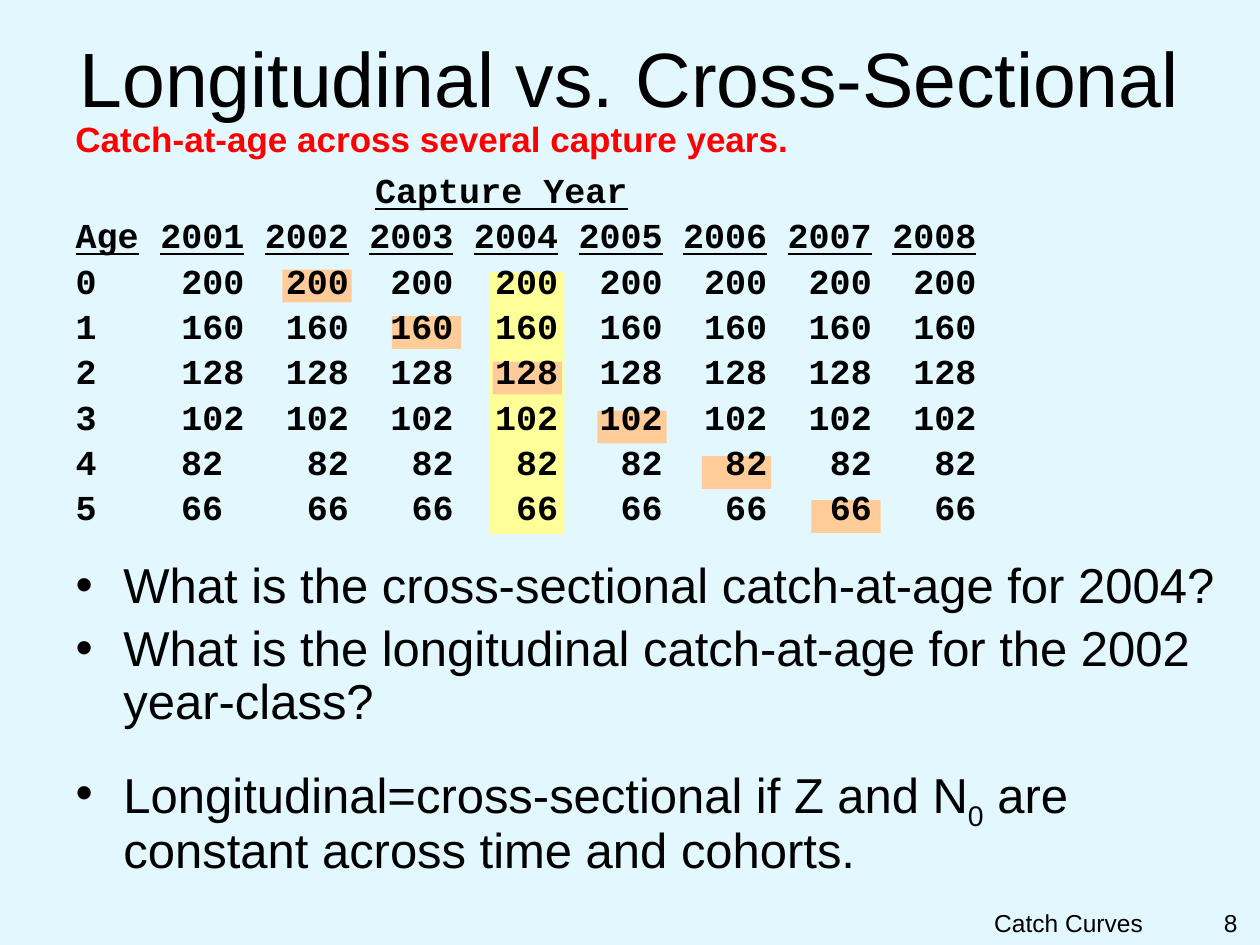
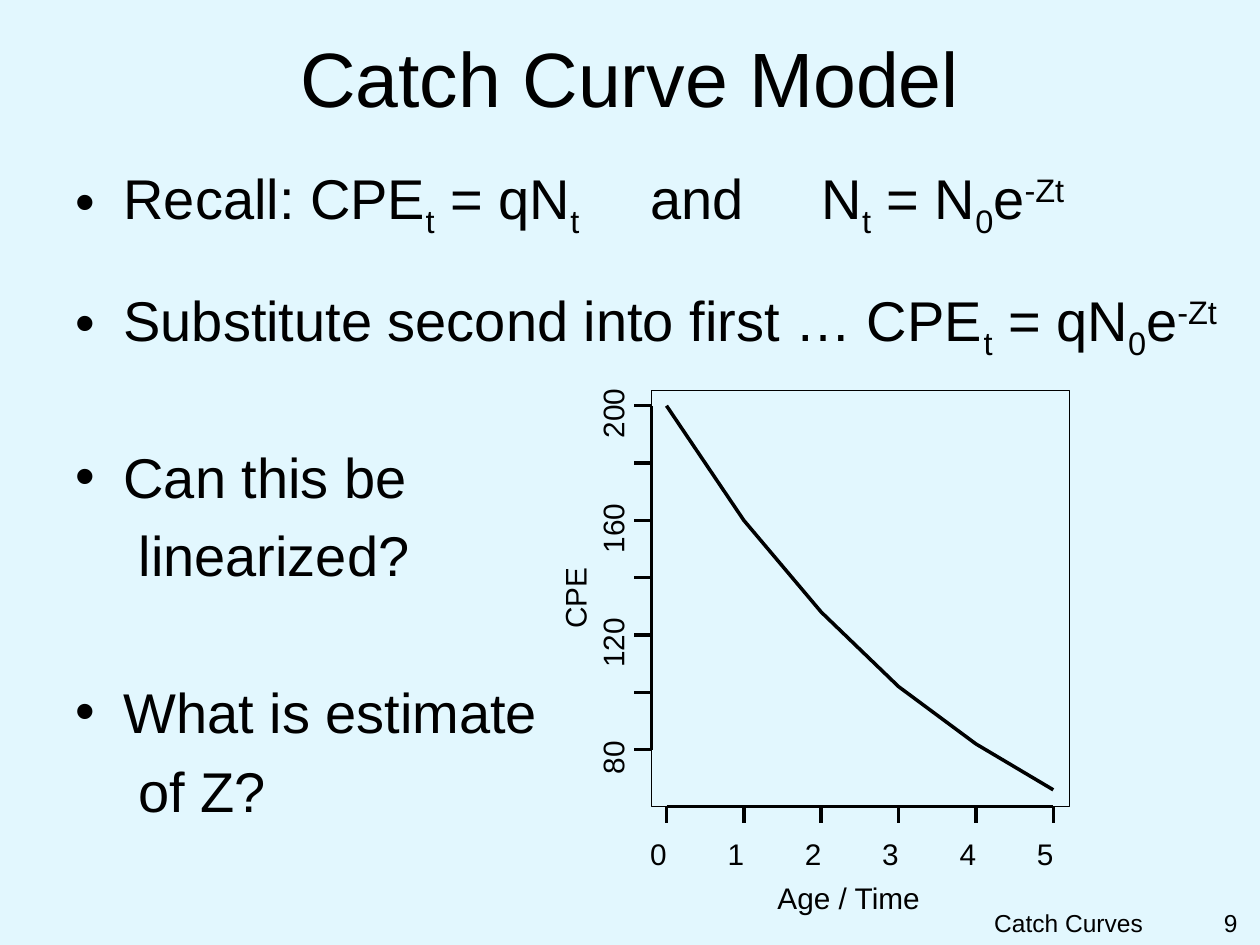
from lxml import etree
from pptx import Presentation
from pptx.dml.color import RGBColor
from pptx.enum.shapes import MSO_CONNECTOR, MSO_SHAPE
from pptx.enum.text import MSO_ANCHOR, MSO_AUTO_SIZE, PP_ALIGN
from pptx.oxml.ns import qn
from pptx.util import Inches, Pt

LEFT, CENTER, RIGHT = PP_ALIGN.LEFT, PP_ALIGN.CENTER, PP_ALIGN.RIGHT
TOP, MIDDLE = MSO_ANCHOR.TOP, MSO_ANCHOR.MIDDLE
FIXED = MSO_AUTO_SIZE.NONE
RECT = MSO_SHAPE.RECTANGLE
STRAIGHT = MSO_CONNECTOR.STRAIGHT

SKY, BLACK, RED = "E2F7FE", "000000", "FF0000"
YELLOW, PEACH = "FFFF99", "FFCC99"
PLAIN_GRID = "{2D5ABB26-0587-4C30-8999-92F81FD0307C}"
SHIFTS = {"_": "-25000", "^": "30000"}
THIN = 0

YEARS = range(2001, 2009)
CATCH = [200, 160, 128, 102, 82, 66]
COHORT = [(2.24, 2.14), (3.11, 2.51), (3.91, 2.87),
          (4.74, 3.26), (5.57, 3.62), (6.44, 3.97)]


def color(code):
    return RGBColor.from_string(code)


class Deck:
    sans = "Arial"
    mono = "Courier New"

    def __init__(self):
        self.prs = Presentation()
        self.prs.slide_width, self.prs.slide_height = Inches(10), Inches(7.5)
        fill = self.prs.slide_master.background.fill
        fill.solid()
        fill.fore_color.rgb = color(SKY)
        self.slide = None

    def style(self, font, size, code=BLACK, bold=False, face=None):
        font.name = face or self.sans
        font.size = Pt(size)
        font.bold = bold
        font.color.rgb = color(code)

    def place(self, shape, box):
        shape.left, shape.top, shape.width, shape.height = map(Inches, box)

    def start(self, title, number):
        self.slide = self.prs.slides.add_slide(self.prs.slide_layouts[1])
        head = self.slide.shapes.title
        self.place(head, (0.07, 0.13, 9.86, 0.95))
        frame = head.text_frame
        frame.text = title
        frame.auto_size = FIXED
        frame.vertical_anchor = MIDDLE
        frame.paragraphs[0].alignment = CENTER
        self.style(frame.paragraphs[0].runs[0].font, 44)
        self.label("Catch Curves", (6, 7.16, 3.17, 0.25), 14, align=RIGHT)
        self.label(str(number), (9.25, 7.16, 0.67, 0.34), 14, align=RIGHT)

    def label(self, text, box, size, code=BLACK, bold=False, align=LEFT):
        shape = self.slide.shapes.add_textbox(*map(Inches, box))
        frame = shape.text_frame
        frame.word_wrap = True
        frame.text = text
        para = frame.paragraphs[0]
        para.alignment = align
        self.style(para.runs[0].font, size, code, bold)
        return shape

    def mark(self, text, box, turn=0):
        shape = self.label(text, box, 17)
        shape.rotation = turn
        frame = shape.text_frame
        frame.margin_left = frame.margin_right = 0
        frame.margin_top = frame.margin_bottom = 0

    def list(self, box, size, items, line=1.0):
        body = self.slide.placeholders[1]
        self.place(body, box)
        frame = body.text_frame
        frame.auto_size = FIXED
        frame.vertical_anchor = TOP
        for i, (gap, dot, parts, tabs) in enumerate(items):
            para = frame.add_paragraph() if i else frame.paragraphs[0]
            props = para._p.get_or_add_pPr()
            left, indent = (0.38, -0.38) if dot else (0.5, 0)
            props.set("marL", str(Inches(left)))
            props.set("indent", str(Inches(indent)))
            if dot:
                etree.SubElement(props, qn("a:buChar")).set("char", "•")
            else:
                etree.SubElement(props, qn("a:buNone"))
            if tabs:
                stops = etree.SubElement(props, qn("a:tabLst"))
                for tab in tabs:
                    stop = etree.SubElement(stops, qn("a:tab"))
                    stop.set("pos", str(Inches(tab)))
                    stop.set("algn", "l")
            para.line_spacing = line
            para.space_before = Pt(gap)
            for part in parts:
                run = para.add_run()
                shift = SHIFTS.get(part[0])
                run.text = part[1:] if shift else part
                self.style(run.font, size)
                if shift:
                    run._r.get_or_add_rPr().set("baseline", shift)

    def block(self, box, code=None):
        shape = self.slide.shapes.add_shape(RECT, *map(Inches, box))
        shape.shadow.inherit = False
        if code:
            shape.fill.solid()
            shape.fill.fore_color.rgb = color(code)
            shape.line.fill.background()
        else:
            shape.fill.background()
            self.stroke(shape, THIN)

    def stroke(self, shape, width):
        shape.line.color.rgb = color(BLACK)
        shape.line.width = Pt(width)

    def line(self, *ends):
        link = self.slide.shapes.add_connector(STRAIGHT, *map(Inches, ends))
        self.stroke(link, THIN)
        etree.SubElement(link._element.spPr, qn("a:effectLst"))

    def curve(self, points, width):
        spots = [(Inches(x), Inches(y)) for x, y in points]
        pen = self.slide.shapes.build_freeform(*spots[0])
        pen.add_line_segments(spots[1:], close=False)
        shape = pen.convert_to_shape()
        shape.shadow.inherit = False
        shape.fill.background()
        self.stroke(shape, width)

    def cell(self, cell, text, align, line=False):
        cell.text = text
        para = cell.text_frame.paragraphs[0]
        para.alignment = align
        self.style(para.runs[0].font, 20, bold=True, face=self.mono)
        para.runs[0].font.underline = line

    def table(self, at, widths, height, banner, rows):
        size = (sum(widths), height * (len(rows) + 1))
        table = self.slide.shapes.add_table(
            len(rows) + 1, len(widths), *map(Inches, at + size)).table
        table.first_row = table.horz_banding = False
        table._tbl.tblPr.find(qn("a:tableStyleId")).text = PLAIN_GRID
        for column, width in zip(table.columns, widths):
            column.width = Inches(width)
        for row in table.rows:
            row.height = Inches(height)
        for cell in table.iter_cells():
            cell.fill.background()
            cell.vertical_anchor = MIDDLE
            cell.margin_left = cell.margin_right = 0
            cell.margin_top = cell.margin_bottom = 0
        top = table.cell(0, 2)
        top.merge(table.cell(0, 6))
        top.margin_right = Inches(0.07)
        self.cell(top, banner, CENTER, True)
        for r, row in enumerate(rows, 1):
            for c, value in enumerate(row):
                cell = table.cell(r, c)
                self.cell(cell, str(value), RIGHT if c else LEFT, r == 1)
                if c == 1 and len(str(value)) == 2:
                    cell.margin_right = Inches(0.17)


def compare(deck):
    deck.start("Longitudinal vs. Cross-Sectional", 8)
    deck.label("Catch-at-age across several capture years.",
               (0.5, 0.88, 9.33, 0.42), 20, RED, True)
    deck.block((3.88, 2.16, 0.6, 2.08), YELLOW)
    for left, top in COHORT:
        deck.block((left, top, 0.55, 0.26), PEACH)
    rows = [["Age", *YEARS]]
    rows += [[age] + [count] * len(YEARS) for age, count in enumerate(CATCH)]
    deck.table((0.6, 1.36), [0.6, 0.74] + [0.83] * 7, 0.36, "Capture Year", rows)
    deck.list((0.5, 4.4, 9.33, 2.75), 28, [
        (0, True, ["What is the cross-sectional catch-at-age for 2004?"], []),
        (6, True, ["What is the longitudinal catch-at-age for the 2002 year-class?"], []),
        (20.4, True, ["Longitudinal=cross-sectional if Z and N", "_0",
                      " are constant across time and cohorts."], []),
    ], 0.9)


def across(age):
    return 5.29 + 0.614 * age


def down(count):
    return 3.22 + (200 - count) * 2.73 / 120


def plot(deck):
    deck.curve([(across(age), down(count)) for age, count in enumerate(CATCH)], 2)
    deck.line(across(0), 6.4, across(5), 6.4)
    for age in range(len(CATCH)):
        deck.line(across(age), 6.4, across(age), 6.53)
        deck.mark(str(age), (across(age) - 0.13, 6.63, 0.25, 0.34))
    deck.line(5.17, down(80), 5.17, down(200))
    for count in range(80, 201, 20):
        deck.line(5.17, down(count), 5.03, down(count))
    for count in range(80, 201, 40):
        wide = 0.39 if count < 100 else 0.52
        deck.mark(str(count), (4.89 - wide / 2, down(count) - 0.17, wide, 0.34), 270)
    deck.block((5.17, 3.1, 3.32, 3.3))
    deck.mark("Age / Time", (6.17, 6.98, 1.29, 0.34))
    deck.mark("CPE", (4.32, 4.6, 0.49, 0.29), 270)


def model(deck):
    deck.start("Catch Curve Model", 9)
    deck.list((0.5, 1.25, 9.42, 5.83), 32, [
        (0, True, ["Recall: CPE", "_t", " = qN", "_t", "\tand\tN", "_t", " = N",
                   "_0", "e", "^-Zt"], [4.56, 5.92]),
        (25.6, True, ["Substitute second into first … CPE", "_t", " = qN", "_0",
                      "e", "^-Zt"], []),
        (46, True, ["Can this be"], []),
        (6.4, False, ["linearized?"], []),
        (51.5, True, ["What is estimate"], []),
        (6.4, False, ["of Z?"], []),
    ])
    plot(deck)


def main():
    deck = Deck()
    compare(deck)
    model(deck)
    deck.prs.save("out.pptx")


if __name__ == "__main__":
    main()
